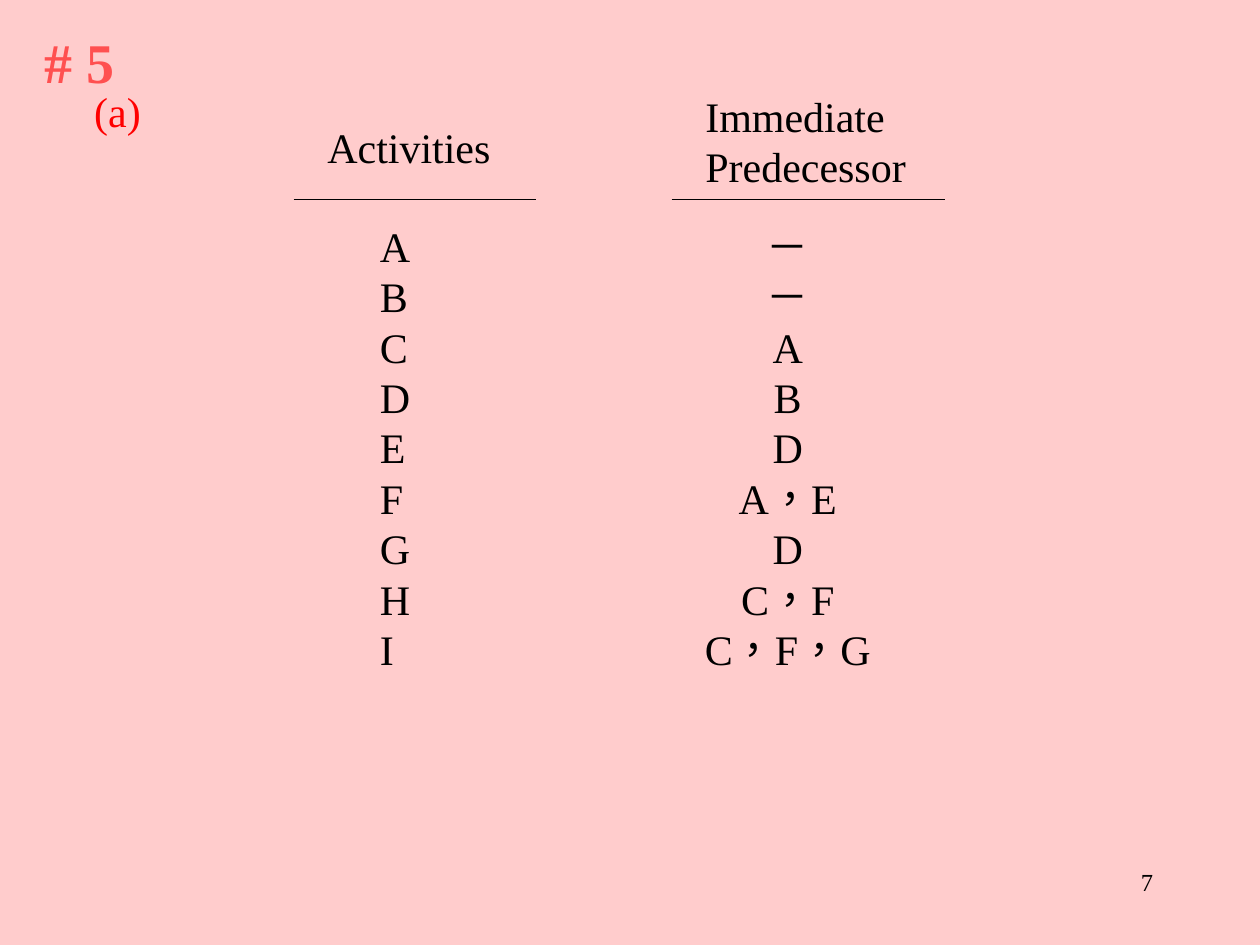
import pptx
import pptx.dml.color
import pptx.enum.lang
import pptx.enum.shapes
import pptx.enum.text
import pptx.oxml.ns
import pptx.util
import lxml.etree

Cm, Pt = pptx.util.Cm, pptx.util.Pt
ALIGN = pptx.enum.text.PP_ALIGN
COLORS = {"background": "FFCCCC", "number": "FF5050", "part": "FF0000", "ink": "000000"}
FONT = "Times New Roman"
PREDECESSORS = {"A": "－", "B": "－", "C": "A", "D": "B", "E": "D",
                "F": "A，E", "G": "D", "H": "C，F", "I": "C，F，G"}


def rgb(name):
    """Return the named palette colour."""
    return pptx.dml.color.RGBColor.from_string(COLORS[name])


def write(slide, lines, box, size=24, color="ink", bold=False,
          align=ALIGN.LEFT, wrap=False, holder=None):
    """Write lines of text in a box given as left, top, width, height in cm."""
    left, top, width, height = map(Cm, box)
    if holder is None:
        holder = slide.shapes.add_textbox(left, top, width, height)
    else:
        holder.left, holder.top, holder.width, holder.height = left, top, width, height
    frame = holder.text_frame
    frame.text = "\n".join(lines)
    frame.word_wrap = wrap
    frame.auto_size = pptx.enum.text.MSO_AUTO_SIZE.NONE
    frame.vertical_anchor = pptx.enum.text.MSO_ANCHOR.TOP
    frame.margin_left = Cm(0.25)
    frame.margin_right = Cm(0.25 if wrap else 0)
    frame.margin_top = frame.margin_bottom = Cm(0.12)
    for paragraph in frame.paragraphs:
        paragraph.alignment = align
        paragraph.line_spacing = Pt(size * 1.2)
        for run in paragraph.runs:
            run.font.name, run.font.size, run.font.bold = FONT, Pt(size), bold
            run.font.color.rgb = rgb(color)
            if not run.text.isascii():
                run.font.language_id = pptx.enum.lang.MSO_LANGUAGE_ID.TRADITIONAL_CHINESE


def add_rule(slide, left, top, width):
    """Draw a thin horizontal rule."""
    rule = slide.shapes.add_connector(pptx.enum.shapes.MSO_CONNECTOR.STRAIGHT,
                                      Cm(left), Cm(top), Cm(left + width), Cm(top))
    rule.line.color.rgb = rgb("ink")
    rule.line.width = Pt(0.75)
    lxml.etree.SubElement(rule._element.spPr, pptx.oxml.ns.qn("a:effectLst"))


def add_heading(slide, left, top):
    """Place the problem number and its part letter."""
    write(slide, ["# 5"], (left, top, 1.9, 1.62), size=32, color="number",
          bold=True, wrap=True, holder=slide.shapes.title)
    slide.shapes.title.text_frame.margin_right = 0
    write(slide, ["(a)"], (left + 1.01, top + 1.17, 1.45, 1.27), color="part", wrap=True)


def add_column(slide, box, header, header_box, entries, entries_box, align=ALIGN.LEFT):
    """Place a header, a rule and entries; inner boxes are relative to the column."""
    left, top, width = box

    def inside(part):
        """Shift a relative box to its place on the slide."""
        return (left + part[0], top + part[1], *part[2:])

    write(slide, header, inside(header_box), wrap=True)
    slide.shapes[-1].text_frame.margin_right = 0
    add_rule(slide, left, top + 2.32, width)
    write(slide, entries, inside(entries_box), align=align, wrap=True)


def build():
    """Build and save the slide."""
    deck = pptx.Presentation()
    deck.slide_width, deck.slide_height = Cm(25.4), Cm(19.05)
    slide = deck.slides.add_slide(deck.slide_layouts[5])
    slide.background.fill.solid()
    slide.background.fill.fore_color.rgb = rgb("background")
    add_heading(slide, 0.64, 0.43)
    add_column(slide, (5.92, 1.7, 4.88), ["Activities"], (0.43, 0.63, 3.78, 1.27),
               list(PREDECESSORS), (1.49, 2.62, 1.47, 10.41))
    add_column(slide, (13.54, 1.7, 5.51), ["Immediate", "Predecessor"],
               (0.43, 0, 4.55, 2.29), list(PREDECESSORS.values()),
               (-0.2, 2.62, 5.08, 11.43), align=ALIGN.CENTER)
    write(slide, ["7"], (18.2, 17.35, 5.3, 1.27), size=14, align=ALIGN.RIGHT, wrap=True)
    deck.save("out.pptx")


if __name__ == "__main__":
    build()
